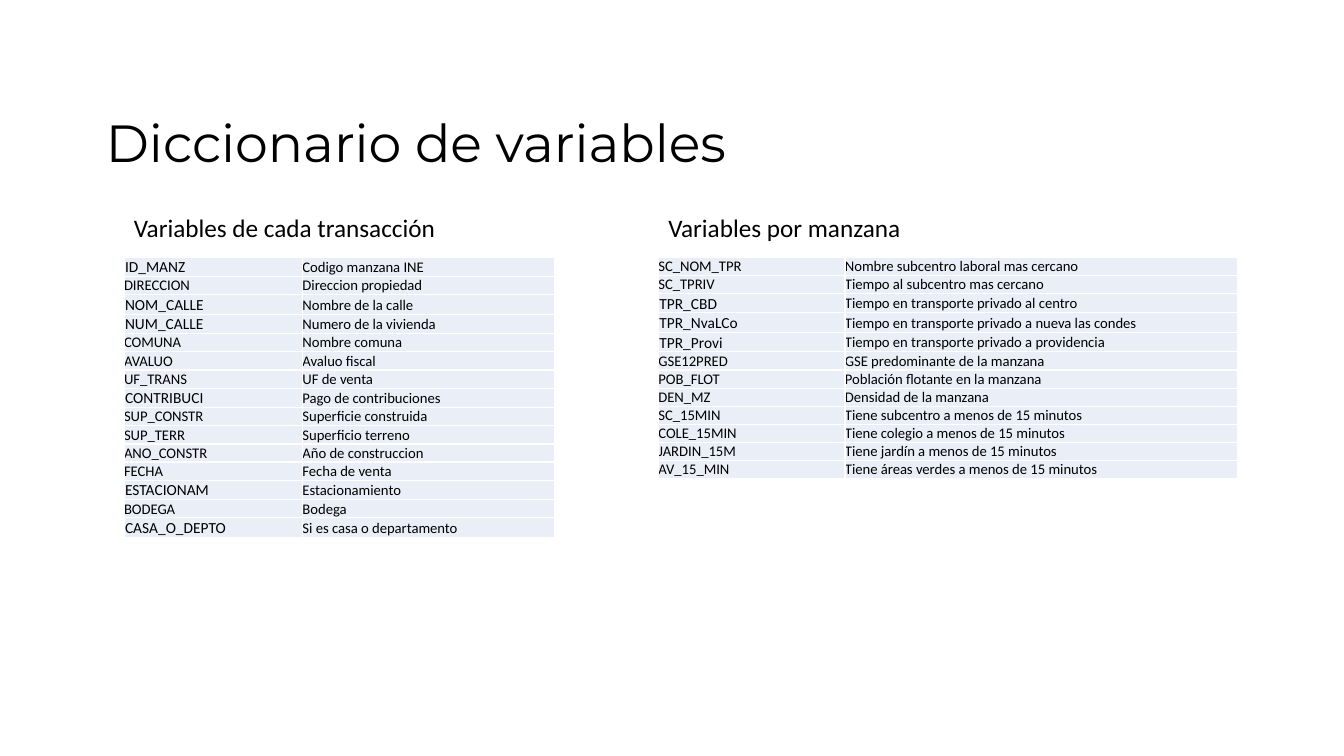
from lxml.etree import SubElement
from pptx import Presentation
from pptx.dml.color import RGBColor
from pptx.enum.text import MSO_ANCHOR
from pptx.oxml.ns import qn
from pptx.util import Inches, Pt

WIDE, HIGH = Inches(13.33), Inches(7.5)
COLORS = {"ink": "000000", "cell": "EAEFF7", "rule": "FFFFFF"}
SMALL, LARGE = 10.5, 11
ROW = 0.18 / 7.5  # share of the slide's height

SALES = [
    ("ID_MANZ", "Codigo manzana INE"),
    ("DIRECCION", "Direccion propiedad"),
    ("NOM_CALLE", "Nombre de la calle"),
    ("NUM_CALLE", "Numero de la vivienda"),
    ("COMUNA", "Nombre comuna"),
    ("AVALUO", "Avaluo fiscal"),
    ("UF_TRANS", "UF de venta"),
    ("CONTRIBUCI", "Pago de contribuciones"),
    ("SUP_CONSTR", "Superficie construida"),
    ("SUP_TERR", "Superficio terreno"),
    ("ANO_CONSTR", "Año de construccion"),
    ("FECHA", "Fecha de venta"),
    ("ESTACIONAM", "Estacionamiento"),
    ("BODEGA", "Bodega"),
    ("CASA_O_DEPTO", "Si es casa o departamento"),
]
BLOCKS = [
    ("SC_NOM_TPR", "Nombre subcentro laboral mas cercano"),
    ("SC_TPRIV", "Tiempo al subcentro mas cercano"),
    ("TPR_CBD", "Tiempo en transporte privado al centro"),
    ("TPR_NvaLCo", "Tiempo en transporte privado a nueva las condes"),
    ("TPR_Provi", "Tiempo en transporte privado a providencia"),
    ("GSE12PRED", "GSE predominante de la manzana"),
    ("POB_FLOT", "Población flotante en la manzana"),
    ("DEN_MZ", "Densidad de la manzana"),
    ("SC_15MIN", "Tiene subcentro a menos de 15 minutos"),
    ("COLE_15MIN", "Tiene colegio a menos de 15 minutos"),
    ("JARDIN_15M", "Tiene jardín a menos de 15 minutos"),
    ("AV_15_MIN", "Tiene áreas verdes a menos de 15 minutos"),
]
# Names set in the larger size, with a hairline margin
BIG = {"ID_MANZ", "NOM_CALLE", "NUM_CALLE", "CONTRIBUCI", "ESTACIONAM",
       "CASA_O_DEPTO", "TPR_CBD", "TPR_NvaLCo", "TPR_Provi"}


def scale(left, top, width, height):
    """Turn shares of the slide into lengths."""
    return [int(part * side) for part, side in
            zip((left, top, width, height), (WIDE, HIGH, WIDE, HIGH))]


def write(para, text, size, face="Calibri"):
    run = para.add_run()
    run.text = text
    for key, value in {"size": Pt(size), "name": face, "bold": False}.items():
        setattr(run.font, key, value)
    run.font.color.rgb = RGBColor.from_string(COLORS["ink"])


def pad(frame, left, top, right, bottom):
    sides = {"left": left, "top": top, "right": right, "bottom": bottom}
    for side, inset in sides.items():
        setattr(frame, f"margin_{side}", Inches(inset))


def add_title(slide, box, text):
    frame = slide.shapes.add_textbox(*scale(*box)).text_frame
    frame.word_wrap = True
    frame.vertical_anchor = MSO_ANCHOR.BOTTOM
    pad(frame, 0.13, 0.13, 0.13, 0.13)
    para = frame.paragraphs[0]
    para.line_spacing = 0.9
    write(para, text, 37.3, "Montserrat")


def add_rules(cell):
    props = cell._tc.get_or_add_tcPr()
    for side in ("lnL", "lnR", "lnT", "lnB"):
        line = SubElement(props, qn(f"a:{side}"), w=str(Pt(1)))
        fill = SubElement(line, qn("a:solidFill"))
        SubElement(fill, qn("a:srgbClr"), val=COLORS["rule"])


def fill_cell(cell, text):
    big = text in BIG
    add_rules(cell)
    cell.fill.solid()
    cell.fill.fore_color.rgb = RGBColor.from_string(COLORS["cell"])
    cell.vertical_anchor = MSO_ANCHOR.BOTTOM
    gap = 0.01 if big else 0
    pad(cell, gap, gap, gap, 0)
    write(cell.text_frame.paragraphs[0], text, LARGE if big else SMALL)


def add_list(slide, box, head, rows, split):
    """Place a heading and its table; split is the first column's share."""
    left, top, width, band = box
    frame = slide.shapes.add_textbox(*scale(left, top, width, 0.4 / 7.5)).text_frame
    frame.word_wrap = False
    write(frame.paragraphs[0], head, 18)

    spot = scale(left, top + band, width, ROW * len(rows))
    table = slide.shapes.add_table(len(rows), 2, *spot).table
    table.first_row = table.horz_banding = False
    for column, share in zip(table.columns, (split, 1 - split)):
        column.width = int(spot[2] * share)
    for line, row in zip(table.rows, rows):
        line.height = int(ROW * HIGH)
        for cell, text in zip(line.cells, row):
            fill_cell(cell, text)


def main():
    deck = Presentation()
    deck.slide_width, deck.slide_height = WIDE, HIGH
    slide = deck.slides.add_slide(deck.slide_layouts[6])
    add_title(slide, (0.92 / 13.33, 0.4 / 7.5, 11.5 / 13.33, 1.45 / 7.5),
              "Diccionario de variables")
    top, band = 2.06 / 7.5, 0.49 / 7.5
    add_list(slide, (1.23 / 13.33, top, 4.27 / 13.33, band),
             "Variables de cada transacción", SALES, 1.77 / 4.27)
    add_list(slide, (6.53 / 13.33, top, 5.74 / 13.33, band),
             "Variables por manzana", BLOCKS, 1.85 / 5.74)
    deck.save("out.pptx")


if __name__ == "__main__":
    main()
